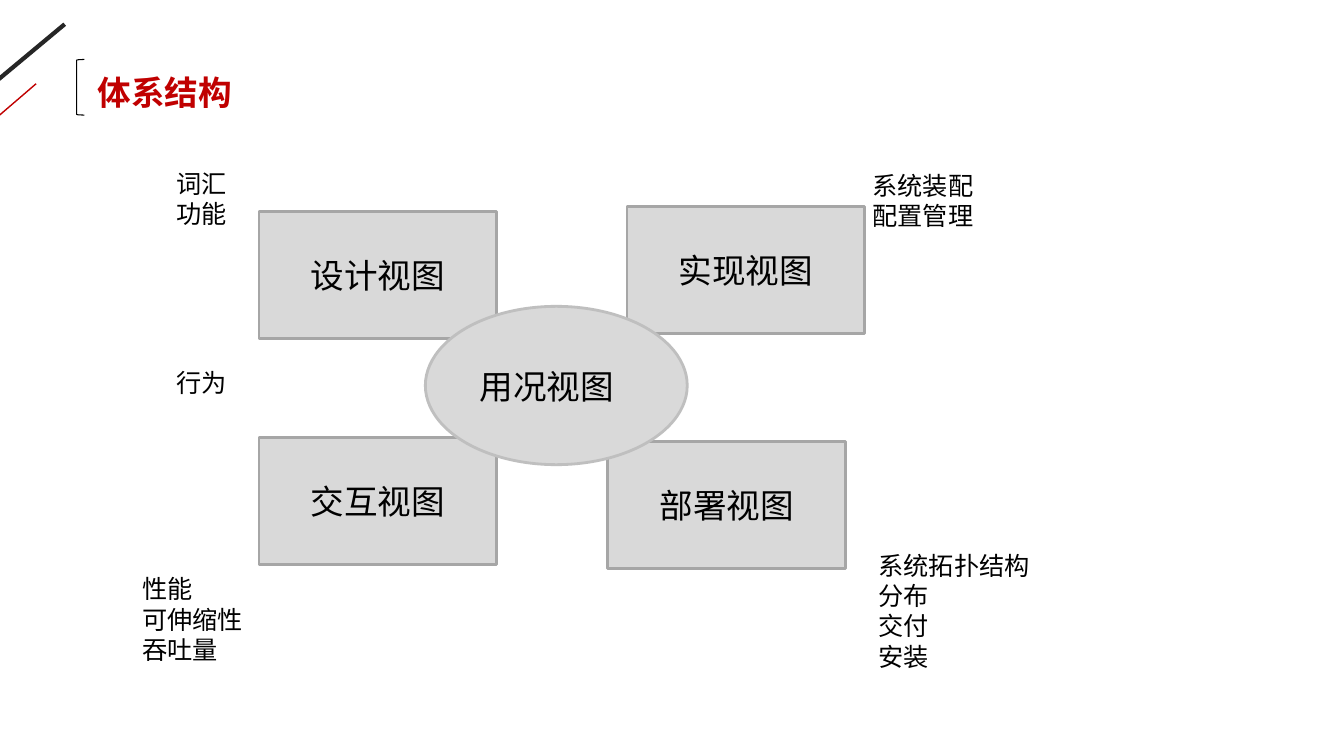
"""Builds the architecture slide: four views around the use case view."""
from lxml import etree
from pptx import Presentation
from pptx.dml.color import RGBColor
from pptx.enum.shapes import MSO_CONNECTOR, MSO_SHAPE
from pptx.enum.text import MSO_ANCHOR, MSO_AUTO_SIZE, PP_ALIGN
from pptx.oxml.ns import qn
from pptx.util import Cm, Pt

STRAIGHT = MSO_CONNECTOR.STRAIGHT
RECTANGLE, OVAL, BRACKET = MSO_SHAPE.RECTANGLE, MSO_SHAPE.OVAL, MSO_SHAPE.LEFT_BRACKET
MIDDLE = MSO_ANCHOR.MIDDLE
FIT_SHAPE = MSO_AUTO_SIZE.SHAPE_TO_FIT_TEXT
LEFT, CENTER = PP_ALIGN.LEFT, PP_ALIGN.CENTER

COLOURS = {
    "ink": "000000",
    "charcoal": "262626",
    "red": "C00000",
    "panel": "D9D9D9",
    "view_edge": "A6A6A6",
    "use_case_edge": "BFBFBF",
}
FONT = "Arial"
HEADING_SIZE, CONCERN_SIZE = 24, 18

TITLE = ("体系结构", (2.21, 1.7, 3.94, 1.27))
TITLE_BRACKET = (1.93, 1.5, 0.2, 1.4)
CORNER_STROKES = [
    ((1.63, 0.61), (-0.53, 2.41), "charcoal", 3),
    ((0.91, 2.11), (-0.15, 3.02), "red", 1),
]
VIEW_SIZE = (5.99, 3.2)
VIEWS = [
    ("设计视图", (6.53, 5.33)),
    ("部署视图", (15.32, 11.13)),
    ("交互视图", (6.53, 11.02)),
    ("实现视图", (15.8, 5.21)),
]
USE_CASE_OVAL = (10.72, 7.72, 6.6, 3.99)
USE_CASE = ("用况视图", (11.84, 9.09, 4.5, 1.27))
CONCERNS = [
    (["词汇", "功能"], (4.19, 4.11), 2.34),
    (["行为"], (4.19, 9.14), 2.34),
    (["性能", "可伸缩性", "吞吐量"], (3.33, 14.33), 3.15),
    (["系统装配", "配置管理"], (21.74, 4.17), 4.8),
    (["系统拓扑结构", "分布", "交付", "安装"], (21.89, 13.74), 5.23),
]
CONCERN_PADDING, CONCERN_LINE = 0.25, 0.77


def colour(name):
    return RGBColor.from_string(COLOURS[name])


def set_line(item, name, width):
    item.line.color.rgb = colour(name)
    item.line.width = Pt(width)


def write(frame, lines, size, name="ink", bold=False, align=LEFT):
    for index, line in enumerate(lines):
        paragraph = frame.add_paragraph() if index else frame.paragraphs[0]
        paragraph.alignment = align
        run = paragraph.add_run()
        run.text = line
        run.font.name = FONT
        run.font.size = Pt(size)
        run.font.bold = bold
        run.font.color.rgb = colour(name)


def add_label(slide, lines, box, size, wrap=True, **style):
    frame = slide.shapes.add_textbox(*map(Cm, box)).text_frame
    frame.word_wrap = wrap
    frame.auto_size = FIT_SHAPE
    write(frame, lines, size, **style)


def add_outline(slide, kind, box, edge, width, fill=None):
    outline = slide.shapes.add_shape(kind, *map(Cm, box))
    outline.shadow.inherit = False
    if fill:
        outline.fill.solid()
        outline.fill.fore_color.rgb = colour(fill)
    else:
        outline.fill.background()
    set_line(outline, edge, width)
    return outline


def add_stroke(slide, start, end, name, width):
    stroke = slide.shapes.add_connector(STRAIGHT, *map(Cm, start + end))
    set_line(stroke, name, width)
    etree.SubElement(stroke._element.spPr, qn("a:effectLst"))


def main():
    deck = Presentation()
    deck.slide_width, deck.slide_height = Cm(33.87), Cm(19.05)
    slide = deck.slides.add_slide(deck.slide_layouts[6])

    for stroke in CORNER_STROKES:
        add_stroke(slide, *stroke)
    title, title_box = TITLE
    add_label(slide, [title], title_box, HEADING_SIZE, wrap=False, name="red", bold=True)
    add_outline(slide, BRACKET, TITLE_BRACKET, "ink", 0.75)

    for view, corner in VIEWS:
        panel = add_outline(slide, RECTANGLE, corner + VIEW_SIZE, "view_edge", 2, "panel")
        panel.text_frame.vertical_anchor = MIDDLE
        write(panel.text_frame, [view], HEADING_SIZE, align=CENTER)

    add_outline(slide, OVAL, USE_CASE_OVAL, "use_case_edge", 2, "panel")
    use_case, use_case_box = USE_CASE
    add_label(slide, [use_case], use_case_box, HEADING_SIZE)

    for concerns, corner, width in CONCERNS:
        height = CONCERN_PADDING + CONCERN_LINE * len(concerns)
        add_label(slide, concerns, corner + (width, height), CONCERN_SIZE)

    deck.save("out.pptx")


if __name__ == "__main__":
    main()
